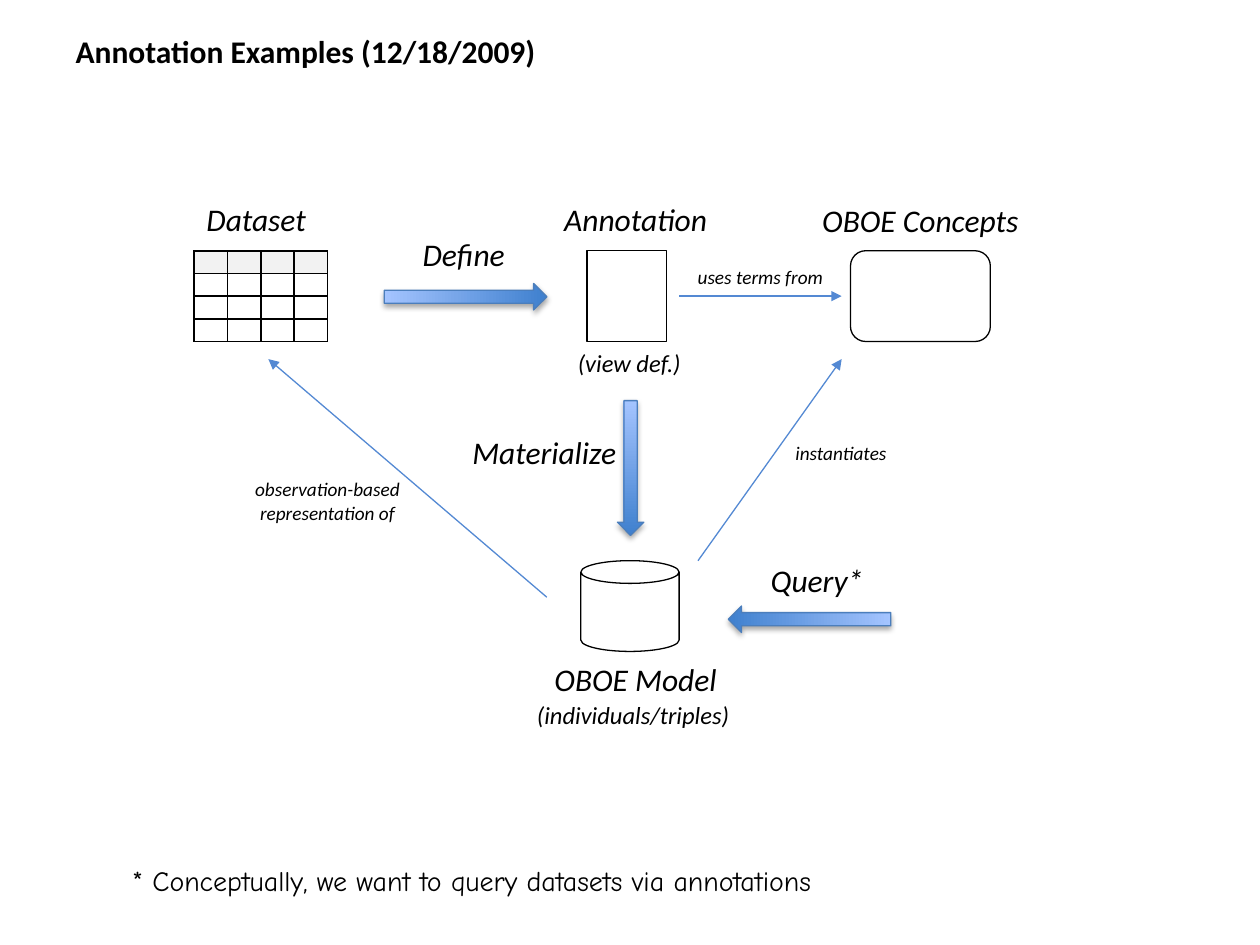
from dataclasses import dataclass
from lxml.etree import SubElement
from pptx import Presentation
from pptx.dml.color import RGBColor
from pptx.enum.dml import MSO_LINE
from pptx.enum.shapes import MSO_CONNECTOR, MSO_SHAPE
from pptx.enum.text import MSO_ANCHOR, MSO_AUTO_SIZE, PP_ALIGN
from pptx.oxml import parse_xml
from pptx.oxml.ns import nsdecls, qn
from pptx.util import Inches, Pt


@dataclass(frozen=True)
class Theme:
    font: str = "Calibri"
    note_font: str = "Comic Neue"
    ink: str = "000000"
    paper: str = "FFFFFF"
    header: str = "F2F2F2"
    dark: str = "3F80CE"
    light: str = "A4C4FF"
    edge: str = "4B7EBC"
    link: str = "5489D3"
    big: int = 18
    note: int = 16
    mid: int = 14
    small: int = 11
    hairline: float = 0.75


T = Theme()
COLS, ROWS = 100, 75  # square grid cells over the slide
W, H = Inches(10), Inches(7.5)


@dataclass(frozen=True)
class Box:
    x: float
    y: float
    w: float
    h: float

    @property
    def center(self):
        return self.x + self.w / 2, self.y + self.h / 2

    def emu(self):
        return (*point(self.x, self.y), *point(self.w, self.h))


def point(col, row):
    return int(col * W / COLS), int(row * H / ROWS)


def rgb(color):
    return RGBColor.from_string(color)


def style(p, size, font=T.font, italic=False, bold=False):
    for r in p.runs:
        r.font.name, r.font.size = font, Pt(size)
        r.font.italic, r.font.bold = italic, bold
        r.font.color.rgb = rgb(T.ink)


def label(s, text, center, offset, w, size, align=PP_ALIGN.CENTER,
          font=T.font, italic=True):
    """One text box, centred at an offset from a point."""
    lines = text.count("\n") + 1
    h = (lines * size * 1.2 / 72 + 0.1) * 10
    x, y = center[0] + offset[0], center[1] + offset[1]
    tf = s.shapes.add_textbox(*Box(x - w / 2, y - h / 2, w, h).emu()).text_frame
    tf.word_wrap = False
    tf.auto_size = MSO_AUTO_SIZE.SHAPE_TO_FIT_TEXT
    tf.text = text
    for p in tf.paragraphs:
        p.alignment = align
        style(p, size, font, italic)


def title(s, box, text):
    sp = s.shapes.title
    sp.left, sp.top, sp.width, sp.height = box.emu()
    tf = sp.text_frame
    tf.text = text
    tf.vertical_anchor = MSO_ANCHOR.MIDDLE
    tf.paragraphs[0].alignment = PP_ALIGN.LEFT
    style(tf.paragraphs[0], T.big, bold=True)


def dataset(s, box, n=4):
    """Empty grid with a shaded header row."""
    frame = s.shapes.add_table(n, n, *box.emu())
    tbl = frame.table
    for line in tbl.columns:
        line.width = frame.width // n
    for line in tbl.rows:
        line.height = frame.height // n
    for i, cell in enumerate(tbl.iter_cells()):
        cell.margin_left = cell.margin_right = 0
        cell.margin_top = cell.margin_bottom = 0
        end = cell.text_frame.paragraphs[0]._p.get_or_add_endParaRPr()
        end.set("sz", "600")
        pr = cell._tc.get_or_add_tcPr()
        for side in ("lnL", "lnR", "lnT", "lnB"):
            ln = SubElement(pr, qn(f"a:{side}"), w=str(Pt(1)))
            fill = SubElement(ln, qn("a:solidFill"))
            SubElement(fill, qn("a:srgbClr"), val=T.ink)
        cell.fill.solid()
        cell.fill.fore_color.rgb = rgb(T.header if i < n else T.paper)
    label(s, "Dataset", box.center, (0, -6.1), 10.6, T.big, PP_ALIGN.LEFT)


def node(s, box, kind, captions):
    """Outlined shape; captions are (text, offset from centre, width, size)."""
    sp = s.shapes.add_shape(kind, *box.emu())
    sp.shadow.inherit = False
    sp.fill.solid()
    sp.fill.fore_color.rgb = rgb(T.paper)
    sp.line.color.rgb = rgb(T.ink)
    sp.line.width = Pt(T.hairline)
    for text, offset, w, size in captions:
        label(s, text, box.center, offset, w, size)


def step(s, center, length, turn, text, offset, w, align=PP_ALIGN.CENTER):
    """Shaded block arrow, turned from pointing down, with its name."""
    thick = 2.1
    box = Box(center[0] - thick / 2, center[1] - length / 2, thick, length)
    sp = s.shapes.add_shape(MSO_SHAPE.DOWN_ARROW, *box.emu())
    sp.rotation = turn
    sp.fill.gradient()
    sp.fill.gradient_angle = 90
    for stop, pos, color in zip(sp.fill.gradient_stops, (0, 1), (T.dark, T.light)):
        stop.position, stop.color.rgb = pos, rgb(color)
    sp.line.color.rgb = rgb(T.edge)
    sp.line.width = Pt(T.hairline)
    sp._element.spPr.append(parse_xml(
        f'<a:effectLst {nsdecls("a")}><a:outerShdw blurRad="40000" dist="23000" '
        f'dir="5400000" rotWithShape="0"><a:srgbClr val="{T.ink}">'
        '<a:alpha val="35000"/></a:srgbClr></a:outerShdw></a:effectLst>'))
    label(s, text, center, offset, w, T.big, align)


def relation(s, start, end, text, offset, w):
    """Thin arrow with a label set off from its midpoint."""
    line = s.shapes.add_connector(MSO_CONNECTOR.STRAIGHT, *point(*start), *point(*end))
    line.line.color.rgb = rgb(T.link)
    line.line.width = Pt(T.hairline)
    line.line.dash_style = MSO_LINE.SOLID
    SubElement(line.line._get_or_add_ln(), qn("a:tailEnd"), type="triangle")
    SubElement(line._element.spPr, qn("a:effectLst"))
    middle = ((start[0] + end[0]) / 2, (start[1] + end[1]) / 2)
    label(s, text, middle, offset, w, T.small)


def diagram(s):
    # Things, three along the top row and the model below
    top, tall = 19.9, 7.2
    dataset(s, Box(15.4, top, 10.6, tall))
    node(s, Box(46.6, top, 6.3, tall), MSO_SHAPE.RECTANGLE,
         [("Annotation", (0.7, -6.1), 14.1, T.big),
          ("(view def.)", (0.2, 5.3), 10.7, T.mid)])
    node(s, Box(67.5, top, 11.1, tall), MSO_SHAPE.ROUNDED_RECTANGLE,
         [("OBOE Concepts", (0, -6), 18.4, T.big)])
    node(s, Box(46.1, 44.5, 7.8, tall), MSO_SHAPE.CAN,
         [("OBOE Model", (0.45, 5.8), 15.7, T.big),
          ("(individuals/triples)", (0.25, 8.6), 17.9, T.mid)])
    # Steps
    step(s, (36.95, 23.55), 12.9, 270, "Define", (-0.15, -3.35), 9.2)
    step(s, (50.05, 37.15), 10.7, 0, "Materialize", (-7.25, -1.25), 14.2, PP_ALIGN.RIGHT)
    step(s, (64.25, 49.15), 12.9, 90, "Query*", (0.6, -3.15), 10.1)
    # Relations
    relation(s, (53.9, 23.5), (66.8, 23.5), "uses terms from", (0, -1.55), 12.4)
    relation(s, (55.4, 44.5), (66.8, 28.5), "instantiates", (5.65, -0.55), 9.7)
    relation(s, (43.4, 47.4), (21.3, 28.5),
             "observation-based\nrepresentation of", (-6.35, 1.8), 14)


def footnote(s, box, text):
    label(s, text, box.center, (0, 0), box.w, T.note, PP_ALIGN.LEFT,
          T.note_font, italic=False)


def main():
    prs = Presentation()
    prs.slide_width, prs.slide_height = W, H
    s = prs.slides.add_slide(prs.slide_layouts[5])
    title(s, Box(5, 1.8, 90, 4.4), "Annotation Examples (12/18/2009)")
    diagram(s)
    footnote(s, Box(9.5, 68, 61.9, 3.7),
             "* Conceptually, we want to query datasets via annotations")
    prs.save("out.pptx")


if __name__ == "__main__":
    main()
